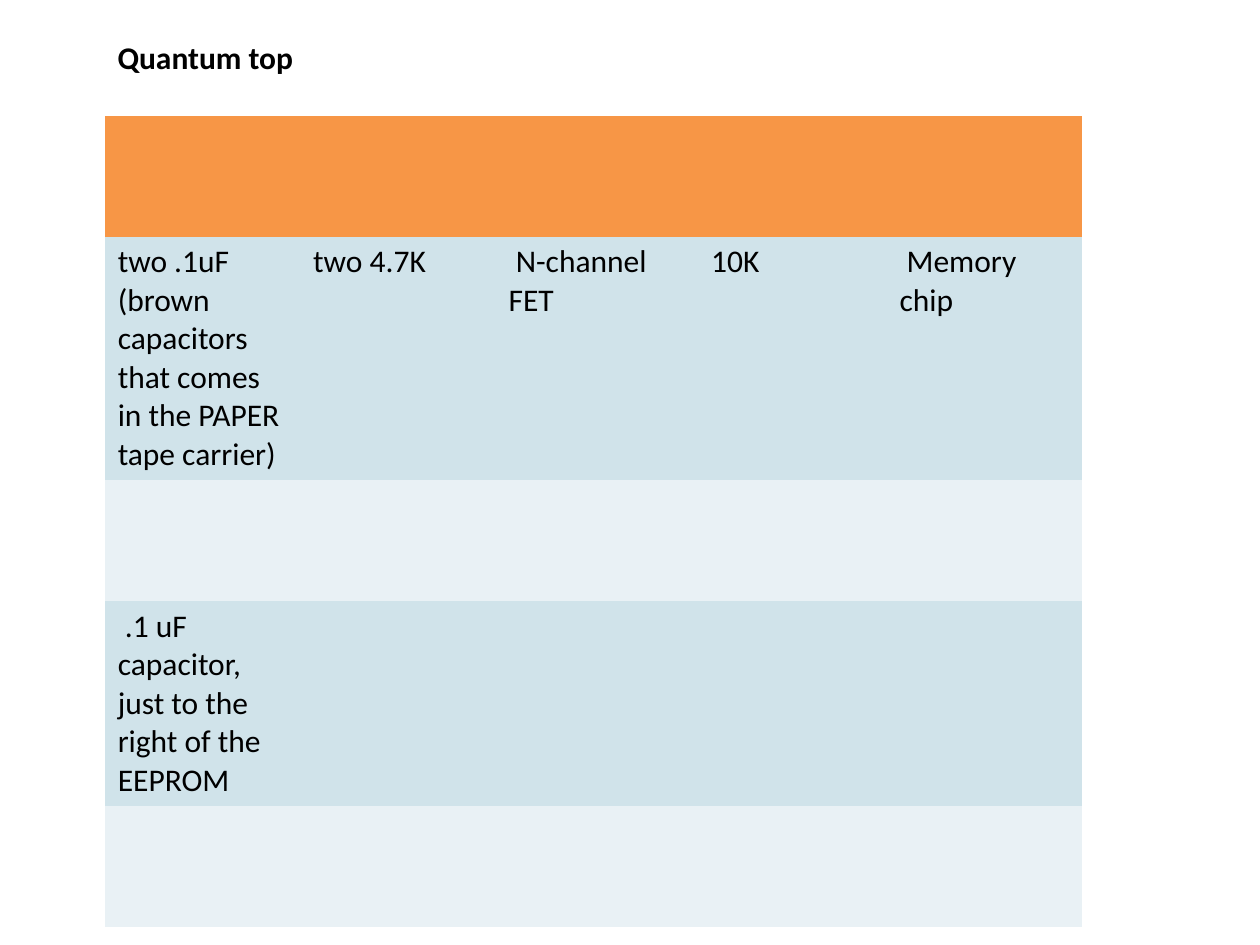
"""Build the Quantum top parts slide."""
import pptx
import pptx.dml.color
import pptx.enum.text
import pptx.oxml.ns
import pptx.util

Cm = pptx.util.Cm
RGBColor = pptx.dml.color.RGBColor

BLACK = RGBColor(0x00, 0x00, 0x00)
ORANGE = RGBColor(0xF7, 0x96, 0x46)
BLUE = RGBColor(0xD0, 0xE3, 0xEA)
PALE = RGBColor(0xE9, 0xF1, 0xF5)
PLAIN_STYLE = "{2D5ABB26-0587-4C30-8999-92F81FD0307C}"

HEADING = "Quantum top"
PART_ROWS = [
    (ORANGE, 2.44, []),
    (BLUE, 4.9, [
        "two .1uF (brown capacitors that comes in the PAPER tape carrier)",
        "two 4.7K ", " N-channel FET ", " 10K ", " Memory chip",
    ]),
    (PALE, 2.44, []),
    (BLUE, 4.13, [" .1 uF capacitor, just to the right of the EEPROM"]),
    (PALE, 2.44, []),
]
COLUMNS = 5
COLUMN_WIDTH = 3.94
LEFT = 2.12


def add_text(frame, text, bold=False):
    run = frame.paragraphs[0].add_run()
    run.text = text
    run.font.name = "Calibri"
    run.font.size = pptx.util.Pt(18)
    run.font.bold = bold
    run.font.color.rgb = BLACK


deck = pptx.Presentation()
deck.slide_width = Cm(25.4)
deck.slide_height = Cm(19.05)
slide = deck.slides.add_slide(deck.slide_layouts[6])

total_height = sum(height for _, height, _ in PART_ROWS)
parts = slide.shapes.add_table(
    len(PART_ROWS), COLUMNS, Cm(LEFT), Cm(2.33),
    Cm(COLUMNS * COLUMN_WIDTH), Cm(total_height)).table
parts._tbl.tblPr.find(pptx.oxml.ns.qn("a:tableStyleId")).text = PLAIN_STYLE
for column in parts.columns:
    column.width = Cm(COLUMN_WIDTH)

for row, (fill, height, labels) in zip(parts.rows, PART_ROWS):
    row.height = Cm(height)
    for cell in row.cells:
        cell.fill.solid()
        cell.fill.fore_color.rgb = fill
    for cell, label in zip(row.cells, labels):
        add_text(cell.text_frame, label)

heading = slide.shapes.add_textbox(Cm(LEFT), Cm(0.64), Cm(4.09), Cm(1.03))
heading.text_frame.word_wrap = False
heading.text_frame.auto_size = pptx.enum.text.MSO_AUTO_SIZE.SHAPE_TO_FIT_TEXT
add_text(heading.text_frame, HEADING, bold=True)

deck.save("out.pptx")
